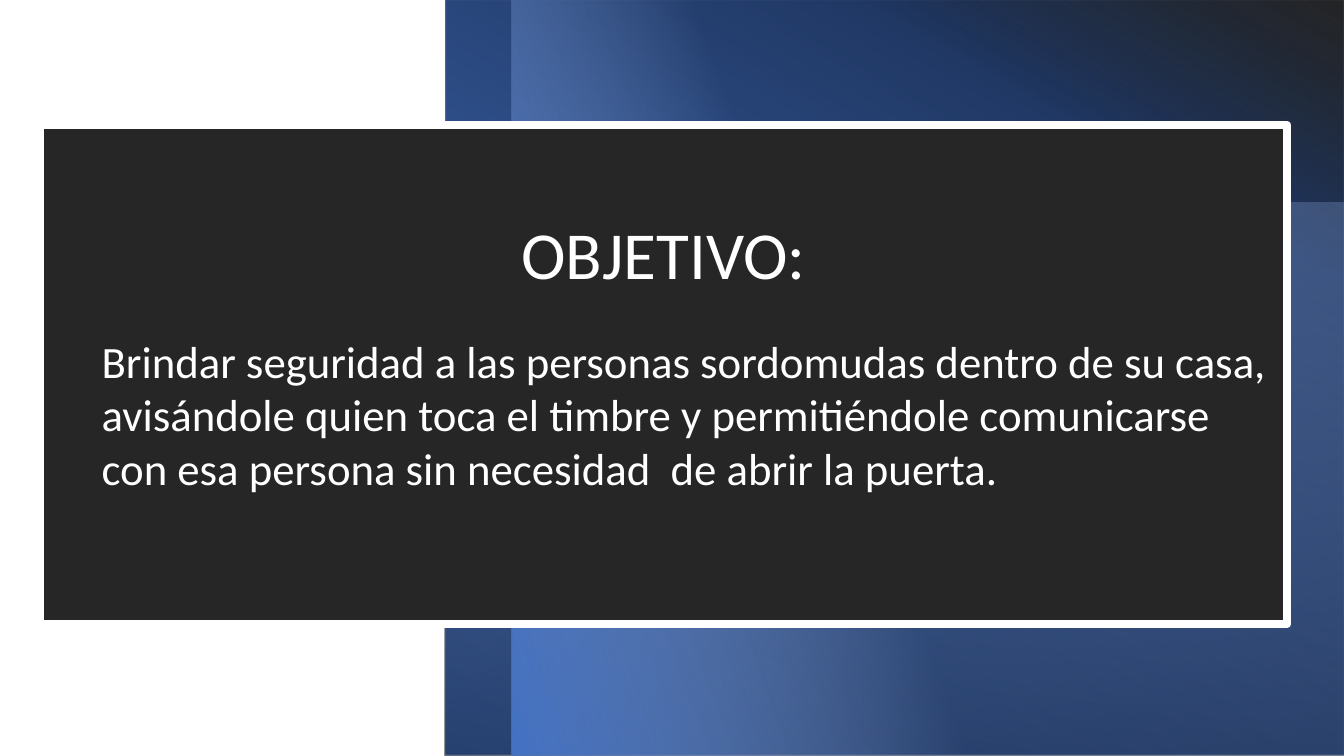
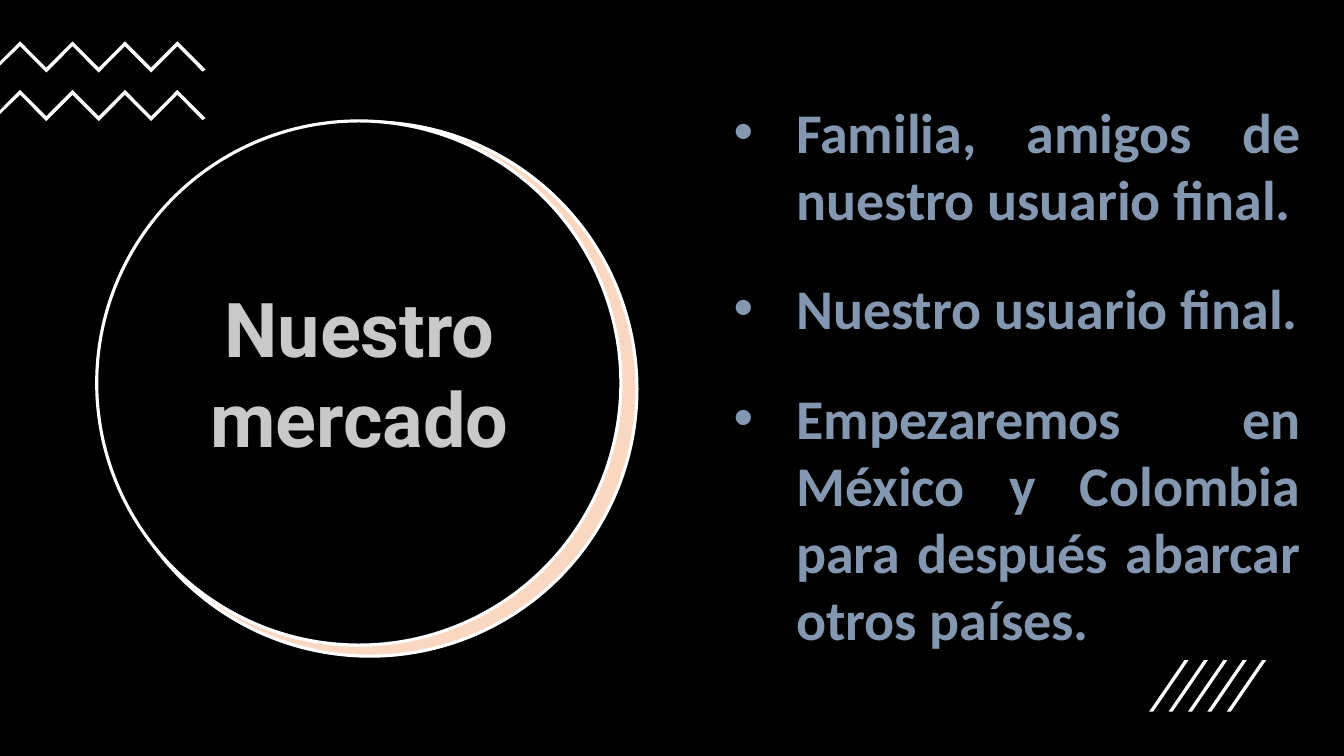
from dataclasses import dataclass

from lxml import etree
from pptx import Presentation
from pptx.dml.color import RGBColor
from pptx.enum import shapes, text
from pptx.oxml.ns import qn
from pptx.util import Pt

RECT = shapes.MSO_SHAPE.RECTANGLE
OVAL = shapes.MSO_SHAPE.OVAL
ALIGN = text.PP_ALIGN
ANCHOR = text.MSO_ANCHOR


@dataclass(frozen=True)
class Theme:
    white: str = "FFFFFF"
    black: str = "000000"
    panel: str = "262626"
    blue: str = "4472C4"
    navy: str = "203864"
    pale_blue: str = "8FAADC"
    orange: str = "ED7D31"
    silver: str = "C9C9C9"
    slate: str = "8497B0"
    body_font: str = "Calibri"
    title_font: str = "Roboto"
    heading: int = 48
    body: int = 32
    title: int = 54
    bullet: int = 40
    panel_line: float = 6
    ring_line: float = 2.25


T = Theme()
WIDTH, HEIGHT = 960, 540


def sub(parent, tag, **attrs):
    return etree.SubElement(parent, qn(tag), attrs)


def paint(sp, fill, line=None, weight=0, opacity=100):
    """Give a shape its solid fill and outline, without shadow."""
    sp.shadow.inherit = False
    sp.fill.solid()
    sp.fill.fore_color.rgb = RGBColor.from_string(fill)
    if opacity < 100:
        clr = sp._element.spPr.find(qn("a:solidFill"))[0]
        sub(clr, "a:alpha", val=str(opacity * 1000))
    if line:
        sp.line.color.rgb = RGBColor.from_string(line)
        sp.line.width = Pt(weight)
        sub(sp.line._get_or_add_ln(), "a:round")
    else:
        sp.line.fill.background()
    return sp


def add_box(slide, kind, box, fill, **style):
    sp = slide.shapes.add_shape(kind, *map(Pt, box))
    return paint(sp, fill, **style)


def add_gradient(slide, box, stops, angle, flip=False, rotation=0):
    """Stops are (position, colour, opacity), all in percent; angle is clockwise."""
    sp = add_box(slide, RECT, box, T.white)
    sp.rotation = rotation
    if flip:
        sp._element.spPr.find(qn("a:xfrm")).set("flipH", "1")
    sp.fill.gradient()
    grad = sp._element.spPr.find(qn("a:gradFill"))
    for child in list(grad):
        grad.remove(child)
    grad.set("rotWithShape", "1")
    stop_list = sub(grad, "a:gsLst")
    for position, colour, opacity in stops:
        stop = sub(stop_list, "a:gs", pos=str(position * 1000))
        clr = sub(stop, "a:srgbClr", val=colour)
        if opacity < 100:
            sub(clr, "a:alpha", val=str(opacity * 1000))
    sub(grad, "a:lin", ang=str(angle * 60000), scaled="0")


def add_outline(slide, left, top, points):
    pts = [(Pt(left + x), Pt(top + y)) for x, y in points]
    builder = slide.shapes.build_freeform(*pts[0], scale=1.0)
    builder.add_line_segments(pts[1:], close=True)
    paint(builder.convert_to_shape(), T.white)


def format_text(p, font, size, colour, bold=False):
    for r in p.runs:
        r.font.name = font
        r.font.size = Pt(size)
        r.font.bold = bold
        r.font.color.rgb = RGBColor.from_string(colour)


def add_text(slide, box, lines, anchor):
    tf = slide.shapes.add_textbox(*map(Pt, box)).text_frame
    tf.word_wrap = True
    tf.vertical_anchor = anchor
    tf.text = "\n".join(lines)
    return tf


def set_indent(p, left, first=0):
    pPr = p._p.get_or_add_pPr()
    pPr.set("marL", str(Pt(left)))
    pPr.set("indent", str(Pt(first)))
    return pPr


def blue_backdrop(slide, left):
    width = WIDTH - left
    add_gradient(slide, (left, 0, width, HEIGHT),
                 [(2, T.blue, 100), (78, T.navy, 100), (100, T.black, 85)], 300)
    add_gradient(slide, (left - 0.5, 144.5, width, HEIGHT - 144.5),
                 [(0, T.pale_blue, 30), (100, T.black, 44)], 80, flip=True)
    # A quarter turn swaps the sides, so the box is centred on the same region.
    long_side = 545
    add_gradient(slide, (left + (width - HEIGHT) / 2 - 1, (HEIGHT - long_side) / 2,
                         HEIGHT, long_side),
                 [(56, T.pale_blue, 0), (100, T.blue, 100)], 110,
                 flip=True, rotation=90)


def objective_panel(slide, box, heading, body):
    sp = add_box(slide, RECT, box, T.panel, line=T.white, weight=T.panel_line)
    tf = sp.text_frame
    tf.word_wrap = True
    tf.vertical_anchor = ANCHOR.TOP
    tf.margin_top = Pt(62.2)
    tf.text = f"{heading}\n{body}"
    head, para = tf.paragraphs
    head.alignment = ALIGN.CENTER
    head.space_after = Pt(29)
    para.alignment = ALIGN.LEFT
    set_indent(para, 36.7)
    format_text(head, T.body_font, T.heading, T.white)
    format_text(para, T.body_font, T.body, T.white)


def title_ring(slide, left, top, lines):
    shade = (left + 4.3, top + 0.7, 381.6, 381.6)
    add_box(slide, OVAL, shade, T.white)
    add_box(slide, OVAL, shade, T.orange, opacity=30,
            line=T.white, weight=T.ring_line)
    add_box(slide, OVAL, (left, top, 374.4, 374.4), T.black,
            line=T.white, weight=T.ring_line)
    tf = add_text(slide, (left + 43.2, top + 74.9, 288.7, 217.4),
                  lines, ANCHOR.MIDDLE)
    for p in tf.paragraphs:
        p.alignment = ALIGN.CENTER
        p.line_spacing = 0.9
        p.space_after = Pt(6)
        format_text(p, T.title_font, T.title, T.silver, bold=True)


def zigzags(slide, left, top, rows=2, pitch=34.7):
    step, drop, thick = 18.72, 18.8, 3.5
    upper = [(14.4 + step * i, drop * (i % 2)) for i in range(7)]
    lower = [(x, y + thick) for x, y in reversed(upper)]
    band = upper + [(146.9, 20.2), (144.7, 21.6)] + lower + [(0, 17.3), (0, 14.4)]
    for row in range(rows):
        add_outline(slide, left, top + pitch * row, band)


def slashes(slide, left, top, count=5, pitch=13.86):
    width, height, thick = 28.1, 36.7, 2.9
    stroke = [(thick, height), (0, height), (width - thick, 0), (width, 0)]
    for i in range(count):
        add_outline(slide, left + pitch * i, top, stroke)


def bullet_list(slide, box, items):
    tf = add_text(slide, box, items, ANCHOR.TOP)
    for p in tf.paragraphs:
        p.alignment = ALIGN.JUSTIFY
        p.space_after = Pt(30)
        pPr = set_indent(p, 44.64, -44.64)
        sub(pPr, "a:buFont", typeface="Arial")
        sub(pPr, "a:buChar", char="•")
        format_text(p, T.body_font, T.bullet, T.slate, bold=True)


def objective_slide(slide):
    blue_backdrop(slide, 318)
    objective_panel(
        slide, (28.8, 89.3, 890.6, 356.4), "OBJETIVO:",
        "Brindar seguridad a las personas sordomudas dentro de su casa, "
        "avisándole quien toca el timbre y permitiéndole comunicarse con esa "
        "persona sin necesidad  de abrir la puerta.")


def market_slide(slide):
    add_box(slide, RECT, (0, 0, WIDTH, HEIGHT), T.black)
    title_ring(slide, 69.1, 86.4, ["Nuestro", "mercado"])
    zigzags(slide, 0, 29.5)
    slashes(slide, 820.8, 471.6)
    bullet_list(slide, (517, 66.2, 419, 406.8), [
        "Familia, amigos de nuestro usuario final.",
        "Nuestro usuario final.",
        "Empezaremos en México y Colombia para después abarcar otros países.",
    ])


def main():
    prs = Presentation()
    prs.slide_width, prs.slide_height = Pt(WIDTH), Pt(HEIGHT)
    for build in (objective_slide, market_slide):
        build(prs.slides.add_slide(prs.slide_layouts[6]))
    prs.save("out.pptx")


if __name__ == "__main__":
    main()
